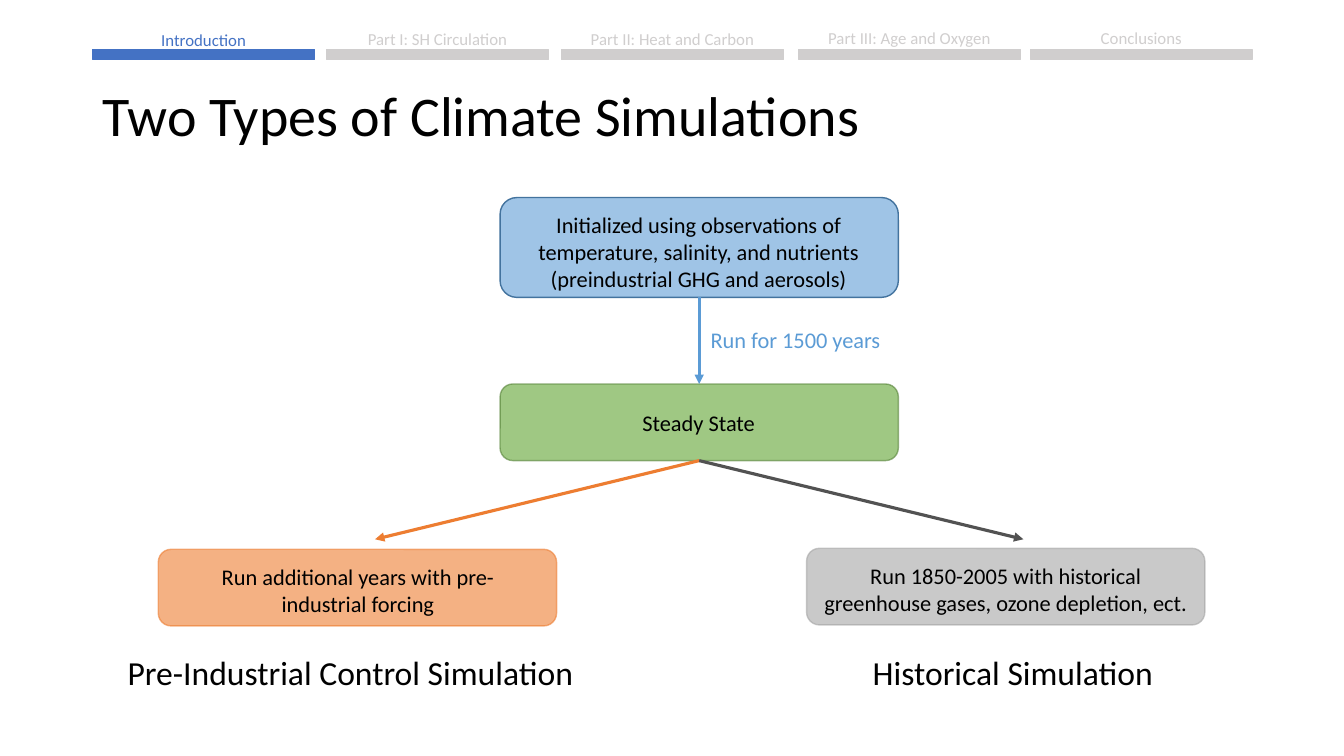
from dataclasses import dataclass

from lxml.etree import SubElement
from pptx import Presentation
from pptx.dml.color import RGBColor
from pptx.enum.shapes import MSO_CONNECTOR, MSO_SHAPE
from pptx.enum.text import MSO_ANCHOR, PP_ALIGN
from pptx.oxml.ns import qn
from pptx.shapes.autoshape import Shape
from pptx.shapes.connector import Connector
from pptx.slide import Slide
from pptx.util import Emu, Pt

EMU_PER_PX = 9144  # 100 px to the inch


@dataclass(frozen=True)
class Theme:
    font: str = "Calibri"
    black: str = "000000"
    active: str = "4472C4"
    inactive: str = "D0CECE"
    blue: str = "5B9BD5"
    blue_edge: str = "43739E"
    green: str = "70AD47"
    green_edge: str = "538035"
    orange: str = "ED7D31"
    gray: str = "A5A5A5"
    dark_gray: str = "525252"
    title_size: int = 40
    name_size: int = 24
    step_size: int = 16
    tab_size: int = 12
    outline: float = 1
    arrow: float = 2.25


THEME = Theme()


@dataclass(frozen=True)
class Box:
    left: int
    top: int
    width: int
    height: int

    def emu(self) -> tuple[Emu, Emu, Emu, Emu]:
        return px(self.left), px(self.top), px(self.width), px(self.height)


@dataclass(frozen=True)
class Tab:
    name: str
    left: int
    label_top: int
    color: str = THEME.inactive


@dataclass(frozen=True)
class Step:
    box: Box
    label_box: Box
    paragraphs: tuple[str, ...]
    fill: str
    fill_alpha: int
    edge: str
    edge_alpha: int = 59


@dataclass(frozen=True)
class Label:
    box: Box
    text: str
    size: int
    color: str = THEME.black
    align: PP_ALIGN = PP_ALIGN.LEFT
    anchor: MSO_ANCHOR = MSO_ANCHOR.TOP
    spacing: float = 1.0


TABS = (
    Tab("Introduction", 92, 25, THEME.active),
    Tab("Part I: SH Circulation", 324, 24),
    Tab("Part II: Heat and Carbon", 557, 24),
    Tab("Part III: Age and Oxygen", 792, 23),
    Tab("Conclusions", 1022, 23),
)

INITIAL = Step(
    Box(496, 196, 395, 99), Box(520, 205, 346, 91),
    ("Initialized using observations of temperature, salinity, and nutrients",
     "(preindustrial GHG and aerosols)"),
    THEME.blue, 58, THEME.blue_edge, 100)
STEADY = Step(
    Box(496, 381, 395, 76), Box(520, 401, 346, 37), ("Steady State",),
    THEME.green, 67, THEME.green_edge)
CONTROL = Step(
    Box(157, 545, 395, 76), Box(182, 554, 346, 64),
    ("Run additional years with pre-industrial forcing",),
    THEME.orange, 60, THEME.orange)
HISTORICAL = Step(
    Box(800, 544, 395, 76), Box(800, 553, 395, 64),
    ("Run 1850-2005 with historical greenhouse gases, ozone depletion, ect.",),
    THEME.gray, 60, THEME.gray)

LABELS = (
    Label(Box(92, 79, 1150, 77), "Two Types of Climate Simulations",
          THEME.title_size, anchor=MSO_ANCHOR.MIDDLE, spacing=0.9),
    Label(Box(695, 319, 246, 37), "Run for 1500 years", THEME.step_size, THEME.blue),
    Label(Box(73, 646, 549, 47), "Pre-Industrial Control Simulation",
          THEME.name_size, align=PP_ALIGN.CENTER, spacing=0.9),
    Label(Box(730, 646, 549, 49), "Historical Simulation",
          THEME.name_size, align=PP_ALIGN.CENTER, spacing=0.9),
)


def px(length: int) -> Emu:
    return Emu(length * EMU_PER_PX)


def rgb(color: str) -> RGBColor:
    return RGBColor.from_string(color)


def add_text(slide: Slide, box: Box, paragraphs: tuple[str, ...], size: int,
             color: str = THEME.black, align: PP_ALIGN = PP_ALIGN.CENTER,
             anchor: MSO_ANCHOR = MSO_ANCHOR.TOP, spacing: float = 1.0) -> None:
    frame = slide.shapes.add_textbox(*box.emu()).text_frame
    frame.word_wrap = True
    frame.vertical_anchor = anchor
    for index, text in enumerate(paragraphs):
        paragraph = frame.add_paragraph() if index else frame.paragraphs[0]
        paragraph.alignment = align
        paragraph.line_spacing = spacing
        run = paragraph.add_run()
        run.text = text
        run.font.name = THEME.font
        run.font.size = Pt(size)
        run.font.color.rgb = rgb(color)


def add_block(slide: Slide, kind: MSO_SHAPE, box: Box, fill: str, edge: str,
              fill_alpha: int = 100, edge_alpha: int = 100) -> Shape:
    shape = slide.shapes.add_shape(kind, *box.emu())
    shape.shadow.inherit = False
    shape.fill.solid()
    shape.fill.fore_color.rgb = rgb(fill)
    shape.line.color.rgb = rgb(edge)
    shape.line.width = Pt(THEME.outline)
    # The fill colour comes before the outline colour
    colors = shape._element.spPr.iter(qn("a:srgbClr"))
    for color, alpha in zip(colors, (fill_alpha, edge_alpha)):
        if alpha < 100:
            SubElement(color, qn("a:alpha"), val=str(alpha * 1000))
    return shape


def add_tab(slide: Slide, tab: Tab) -> None:
    add_block(slide, MSO_SHAPE.RECTANGLE, Box(tab.left, 49, 220, 10), tab.color, tab.color)
    add_text(slide, Box(tab.left, tab.label_top, 220, 30), (tab.name,),
             THEME.tab_size, tab.color)


def add_step(slide: Slide, step: Step) -> Shape:
    shape = add_block(slide, MSO_SHAPE.ROUNDED_RECTANGLE, step.box, step.fill,
                      step.edge, step.fill_alpha, step.edge_alpha)
    add_text(slide, step.label_box, step.paragraphs, THEME.step_size)
    return shape


def add_arrow(slide: Slide, source: Shape, tip_x: int, tip_y: int, color: str) -> Connector:
    arrow = slide.shapes.add_connector(
        MSO_CONNECTOR.STRAIGHT, 0, 0, px(tip_x), px(tip_y))
    arrow.begin_connect(source, 2)
    arrow.line.color.rgb = rgb(color)
    arrow.line.width = Pt(THEME.arrow)
    SubElement(arrow.line._get_or_add_ln(), qn("a:tailEnd"), type="triangle")
    SubElement(arrow._element.spPr, qn("a:effectLst"))
    return arrow


def main() -> None:
    presentation = Presentation()
    presentation.slide_width, presentation.slide_height = px(1333), px(750)
    slide = presentation.slides.add_slide(presentation.slide_layouts[6])

    # Section navigation
    for tab in TABS:
        add_tab(slide, tab)

    # Title, simulation names and run length
    for label in LABELS:
        add_text(slide, label.box, (label.text,), label.size, label.color,
                 label.align, label.anchor, label.spacing)

    # Simulation steps
    initial, steady, *_ = [
        add_step(slide, step) for step in (INITIAL, STEADY, CONTROL, HISTORICAL)]

    # Arrows between steps
    spin_up = add_arrow(slide, initial, 694, 381, THEME.blue)
    spin_up.end_connect(steady, 0)
    add_arrow(slide, steady, 372, 535, THEME.orange)
    add_arrow(slide, steady, 1015, 535, THEME.dark_gray)

    presentation.save("out.pptx")


if __name__ == "__main__":
    main()
